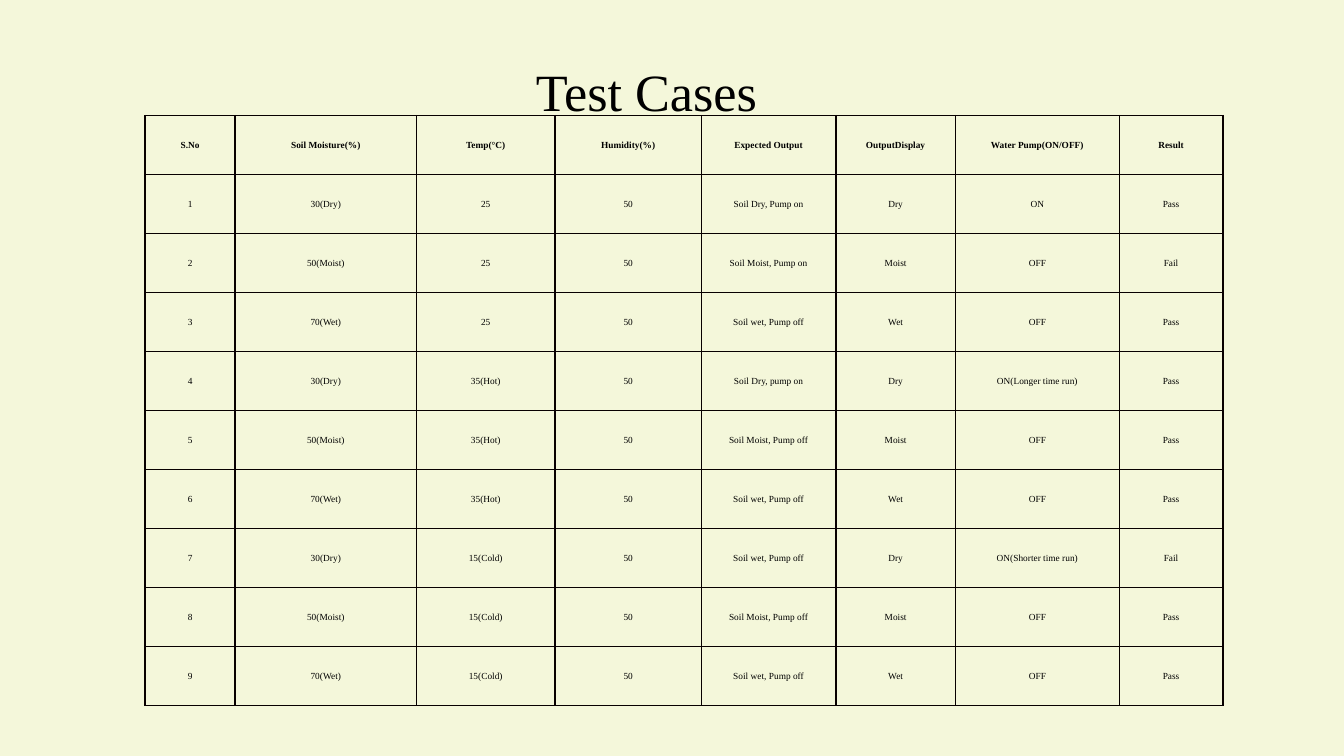
from lxml import etree
from pptx import Presentation
from pptx import util as u
from pptx.dml.color import RGBColor
from pptx.enum import text
from pptx.oxml.ns import qn

FONT = "Times New Roman"
BACKGROUND, INK, BORDER = "F4F7DA", "000000", "080000"
COLUMN_WIDTHS = [0.67, 1.35, 1.03, 1.09, 1.0, 0.89, 1.22, 0.77]
TABLE_HEIGHT = 4.39
HEADERS = ["S.No", "Soil Moisture(%)", "Temp(°C)", "Humidity(%)",
           "Expected Output", "OutputDisplay", "Water Pump(ON/OFF)", "Result"]
HUMIDITY = "50"
TEMPERATURES = ["25", "35(Hot)", "15(Cold)"]
SOILS = [("30(Dry)", "Dry"), ("50(Moist)", "Moist"), ("70(Wet)", "Wet")]
OUTCOMES = [
    ("Soil Dry, Pump on", "ON", "Pass"),
    ("Soil Moist, Pump on", "OFF", "Fail"),
    ("Soil wet, Pump off", "OFF", "Pass"),
    ("Soil Dry, pump on", "ON(Longer time run)", "Pass"),
    ("Soil Moist, Pump off", "OFF", "Pass"),
    ("Soil wet, Pump off", "OFF", "Pass"),
    ("Soil wet, Pump off", "ON(Shorter time run)", "Fail"),
    ("Soil Moist, Pump off", "OFF", "Pass"),
    ("Soil wet, Pump off", "OFF", "Pass"),
]


def color(value):
    return RGBColor.from_string(value)


def test_rows():
    rows = [HEADERS]
    for i, (expected, pump, result) in enumerate(OUTCOMES):
        moisture, display = SOILS[i % 3]
        rows.append([str(i + 1), moisture, TEMPERATURES[i // 3], HUMIDITY,
                     expected, display, pump, result])
    return rows


def write(tf, content, size, bold=False):
    p = tf.paragraphs[0]
    p.text = content
    p.alignment = text.PP_ALIGN.CENTER
    p.font.name = FONT
    p.font.size = u.Pt(size)
    p.font.bold = bold
    p.font.color.rgb = color(INK)


def add_title(s, content):
    sp = s.shapes.add_textbox(u.Inches(3.82), u.Inches(0.39),
                              u.Inches(1.98), u.Inches(0.57))
    tf = sp.text_frame
    tf.word_wrap = True
    tf.vertical_anchor = text.MSO_ANCHOR.BOTTOM
    write(tf, content, 28)


def set_borders(cell):
    tcPr = cell._tc.get_or_add_tcPr()
    for i, side in enumerate(("lnL", "lnR", "lnT", "lnB")):
        ln = etree.Element(qn("a:" + side), w=str(u.Pt(1)))
        fill = etree.SubElement(ln, qn("a:solidFill"))
        etree.SubElement(fill, qn("a:srgbClr"), val=BORDER)
        tcPr.insert(i, ln)


def fill_cell(cell, content, bold):
    cell.fill.background()
    cell.vertical_anchor = text.MSO_ANCHOR.MIDDLE
    cell.margin_left = cell.margin_right = u.Inches(0.07)
    cell.margin_top = cell.margin_bottom = 0
    write(cell.text_frame, content, 5, bold)
    set_borders(cell)


def add_test_table(s, rows):
    frame = s.shapes.add_table(len(rows), len(COLUMN_WIDTHS),
                               u.Inches(1.08), u.Inches(0.86),
                               u.Inches(sum(COLUMN_WIDTHS)), u.Inches(TABLE_HEIGHT))
    table = frame.table
    table.horz_banding = False
    for column, width in zip(table.columns, COLUMN_WIDTHS):
        column.width = u.Inches(width)
    for r, values in enumerate(rows):
        table.rows[r].height = u.Inches(TABLE_HEIGHT / len(rows))
        for c, value in enumerate(values):
            fill_cell(table.cell(r, c), value, r == 0)


def main():
    prs = Presentation()
    prs.slide_width, prs.slide_height = u.Inches(10), u.Inches(10 * 9 / 16)
    s = prs.slides.add_slide(prs.slide_layouts[6])
    s.background.fill.solid()
    s.background.fill.fore_color.rgb = color(BACKGROUND)
    add_title(s, "Test Cases")
    add_test_table(s, test_rows())
    prs.save("out.pptx")


if __name__ == "__main__":
    main()
